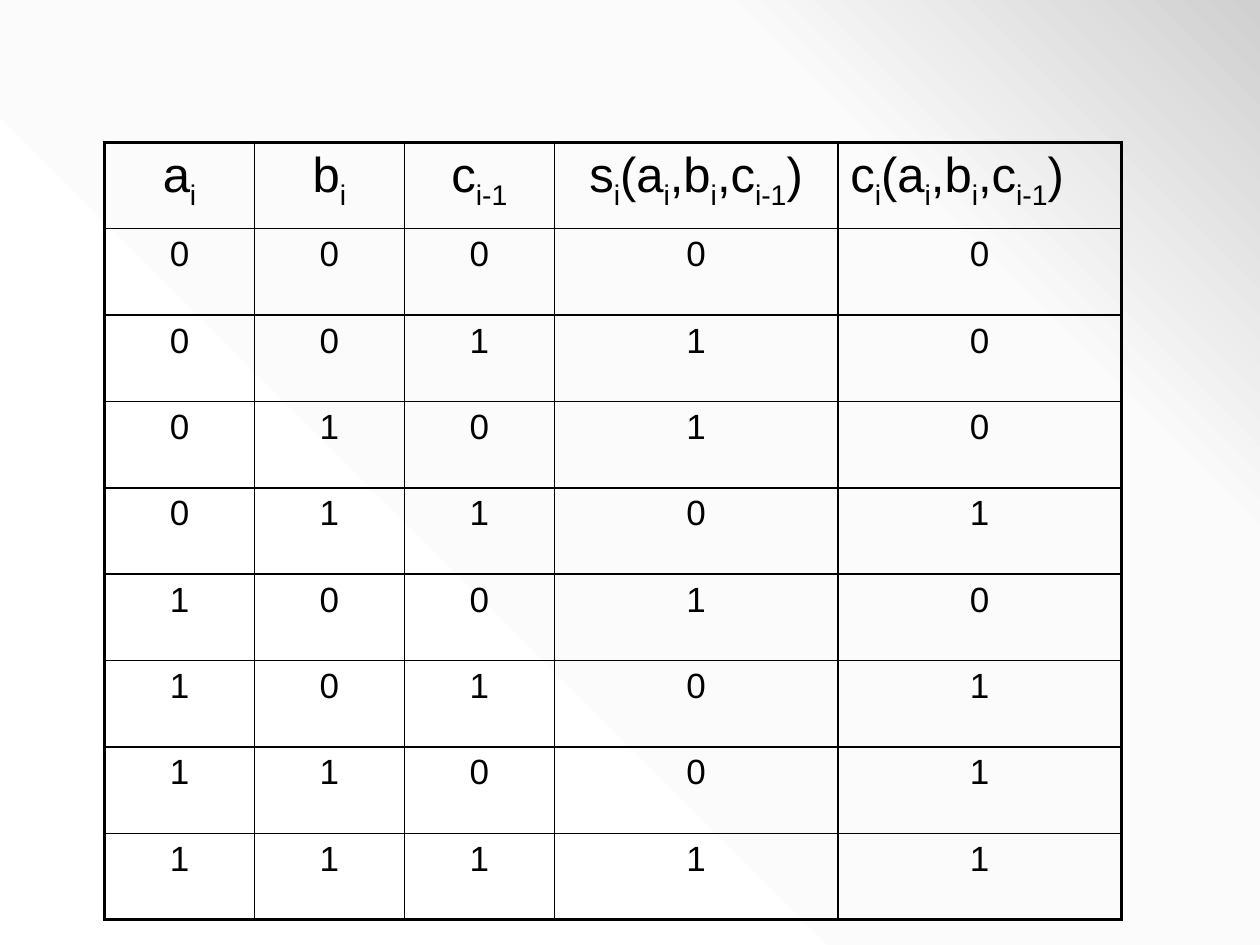
from copy import deepcopy
from dataclasses import dataclass
from itertools import product

from lxml import etree
from pptx import Presentation
from pptx.dml.color import RGBColor
from pptx.enum import text
from pptx.oxml import ns
from pptx.util import Inches, Pt


@dataclass(frozen=True)
class Theme:
    font: str = "Arial"
    ink: str = "000000"
    header_size: int = 28
    body_size: int = 20
    inner_line: float = 1
    outer_line: float = 2.25
    backdrop: tuple = ((0, "FFFFFF"), (0.75, "FBFBFB"), (1, "D0D0D0"))
    backdrop_angle: int = 45


THEME = Theme()

# Every second piece between bars is a subscript
HEADERS = ("a|i", "b|i", "c|i-1", "s|i|(a|i|,b|i|,c|i-1|)", "c|i|(a|i|,b|i|,c|i-1|)")
COLUMN_WIDTHS = (1.19, 1.19, 1.19, 2.25, 2.25)


def paint_background(page):
    fill = page.background.fill
    fill.gradient()
    fill.gradient_angle = THEME.backdrop_angle
    stop_list = page.element.find(".//" + ns.qn("a:gsLst"))
    stop_list.append(deepcopy(stop_list[-1]))
    for stop, (position, color) in zip(fill.gradient_stops, THEME.backdrop):
        stop.position = position
        stop.color.rgb = RGBColor.from_string(color)


def draw_borders(cell, outer_sides):
    properties = cell._tc.get_or_add_tcPr()
    for index, side in enumerate("LRTB"):
        width = THEME.outer_line if side in outer_sides else THEME.inner_line
        line = etree.Element(ns.qn(f"a:ln{side}"), w=str(Pt(width)))
        fill = etree.SubElement(line, ns.qn("a:solidFill"))
        etree.SubElement(fill, ns.qn("a:srgbClr"), val=THEME.ink)
        properties.insert(index, line)


def write_cell(cell, content, size, align):
    cell.fill.background()
    para = cell.text_frame.paragraphs[0]
    para.alignment = align
    for index, piece in enumerate(content.split("|")):
        span = para.add_run()
        span.text = piece
        span.font.name = THEME.font
        span.font.size = Pt(size)
        span.font.bold = False
        span.font.color.rgb = RGBColor.from_string(THEME.ink)
        if index % 2:
            span.font._element.set("baseline", "-25000")


def adder_rows():
    """Inputs a, b and carry-in, followed by the sum and carry-out bits."""
    for bits in product((0, 1), repeat=3):
        total = sum(bits)
        yield [str(bit) for bit in (*bits, total % 2, total // 2)]


def add_truth_table(page):
    rows = [HEADERS, *adder_rows()]
    last_row, last_column = len(rows) - 1, len(HEADERS) - 1
    table = page.shapes.add_table(
        len(rows), len(HEADERS),
        Inches(0.83), Inches(1.13), Inches(8.08), Inches(6.17)).table
    table.first_row = table.horz_banding = False
    for column, width in zip(table.columns, COLUMN_WIDTHS):
        column.width = Inches(width)

    for r, row in enumerate(rows):
        for c, content in enumerate(row):
            cell = table.cell(r, c)
            is_header = r == 0
            size = THEME.header_size if is_header else THEME.body_size
            left_aligned = is_header and c == last_column
            align = text.PP_ALIGN.LEFT if left_aligned else text.PP_ALIGN.CENTER
            write_cell(cell, content, size, align)
            edges = {"L": c == 0, "R": c == last_column,
                     "T": is_header, "B": r == last_row}
            draw_borders(cell, [side for side, outer in edges.items() if outer])


def main():
    deck = Presentation()
    deck.slide_width, deck.slide_height = Inches(10), Inches(7.5)
    page = deck.slides.add_slide(deck.slide_layouts[6])
    paint_background(page)
    # Full adder truth table
    add_truth_table(page)
    deck.save("out.pptx")


if __name__ == "__main__":
    main()
